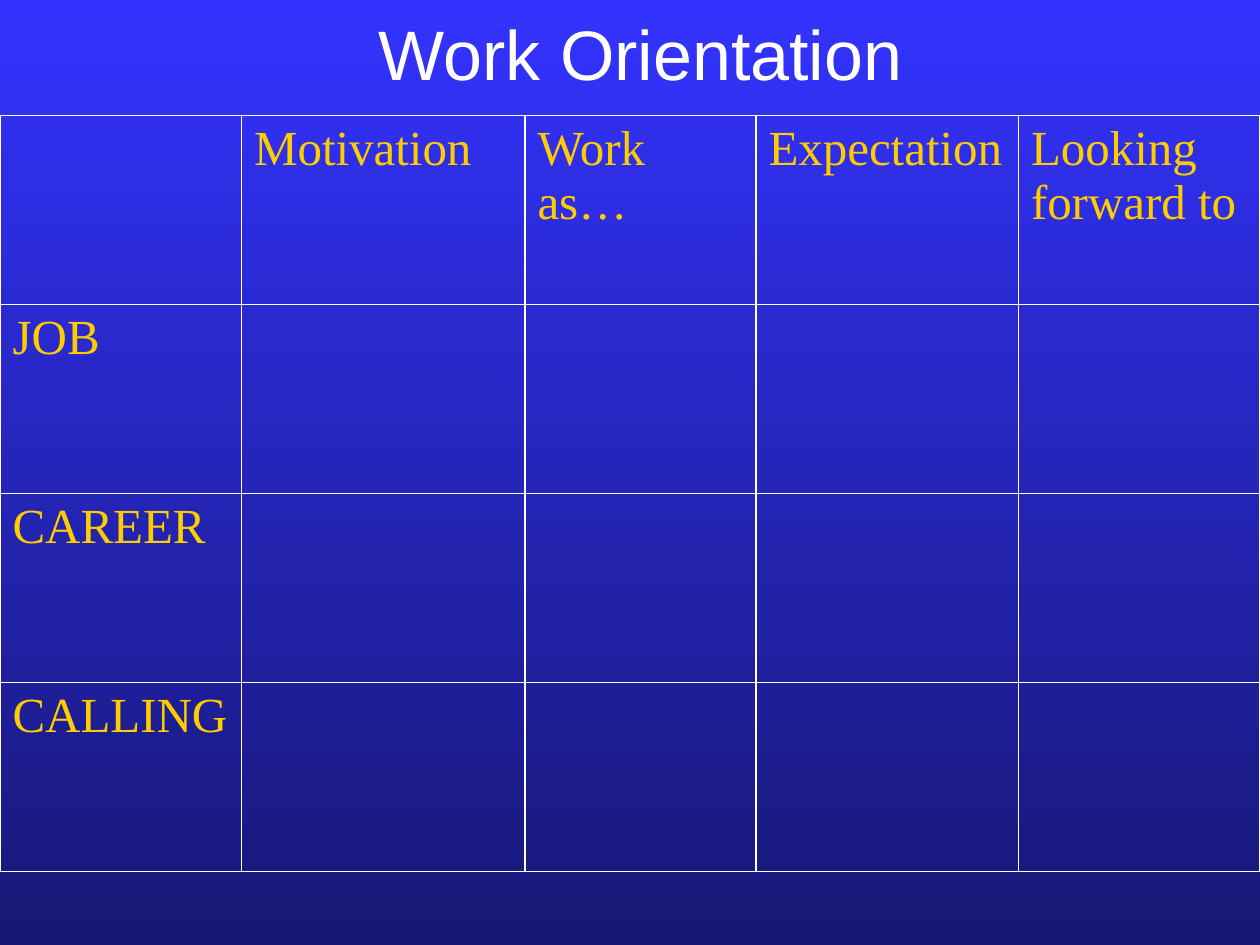
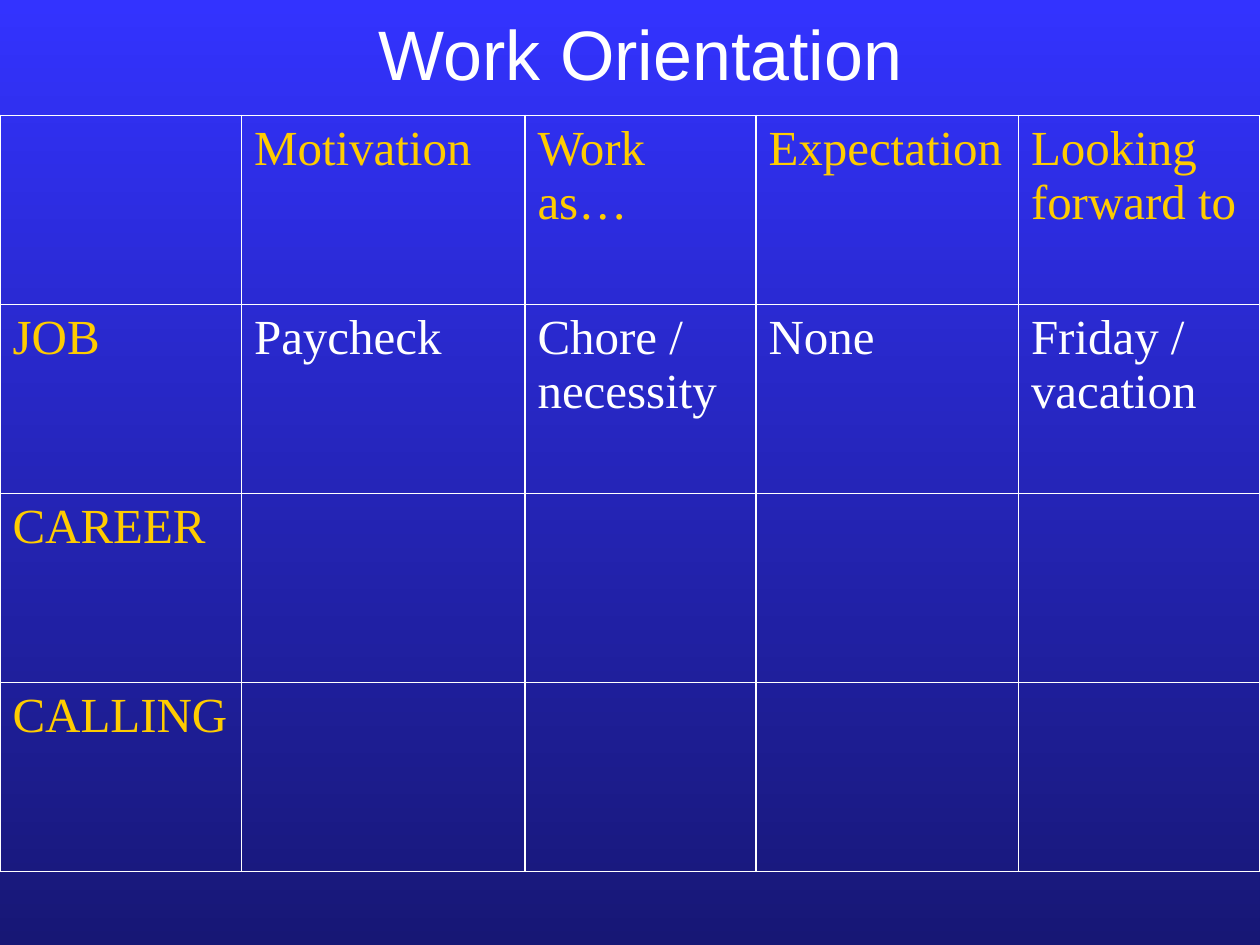
from lxml import etree
from pptx import Presentation
from pptx.dml.color import RGBColor
from pptx.enum.text import MSO_ANCHOR, MSO_AUTO_SIZE, PP_ALIGN
from pptx.oxml.ns import qn
from pptx.util import Inches, Pt

CENTER = PP_ALIGN.CENTER
MIDDLE = MSO_ANCHOR.MIDDLE
NO_FIT = MSO_AUTO_SIZE.NONE

BLUE = RGBColor(0x33, 0x33, 0xFF)
NAVY = RGBColor(0x17, 0x17, 0x75)
WHITE = RGBColor(0xFF, 0xFF, 0xFF)
GOLD = RGBColor(0xFF, 0xCC, 0x00)

TITLE_FONT = "Arial"
BODY_FONT = "Times New Roman"
BORDER_WIDTH = Pt(1.08)
TITLE_ONLY = 5

# The page is a grid of 120 columns and 90 rows
GRID = Inches(1) / 12
COLUMN_SPANS = (23, 27, 22, 25, 23)
ROW_SPAN = 18
TABLE_TOP = 11

TITLE = "Work Orientation"
HEADINGS = ["", "Motivation", "Work as…", "Expectation", "Looking forward to"]
ORIENTATIONS = ["JOB", "CAREER", "CALLING"]
JOB_ANSWERS = ["Paycheck", "Chore / necessity", "None", "Friday / vacation"]


def grid(count):
    return round(count * GRID)


class SlideBuilder:
    def __init__(self):
        self.deck = Presentation()
        self.deck.slide_width = grid(120)
        self.deck.slide_height = grid(90)
        self.page = None
        self.shade_master()

    def shade_master(self):
        fill = self.deck.slide_master.background.fill
        fill.gradient()
        fill.gradient_angle = 270
        for stop, color, position in zip(fill.gradient_stops, (BLUE, NAVY), (0, 1)):
            stop.color.rgb = color
            stop.position = position

    def add_page(self):
        self.page = self.deck.slides.add_slide(self.deck.slide_layouts[TITLE_ONLY])

    def style(self, paragraph, font, size, color):
        for span in paragraph.runs:
            span.font.name = font
            span.font.size = Pt(size)
            span.font.color.rgb = color

    def title(self, text):
        box = self.page.shapes.title
        box.left, box.top = grid(9), grid(1)
        box.width, box.height = grid(104), grid(8)
        frame = box.text_frame
        frame.text = text
        frame.auto_size = NO_FIT
        frame.vertical_anchor = MIDDLE
        paragraph = frame.paragraphs[0]
        paragraph.alignment = CENTER
        self.style(paragraph, TITLE_FONT, 40, WHITE)

    def table(self, rows):
        frame = self.page.shapes.add_table(
            len(rows), len(COLUMN_SPANS), 0, grid(TABLE_TOP),
            grid(sum(COLUMN_SPANS)), grid(ROW_SPAN * len(rows)))
        table = frame.table
        table.first_row = False
        table.horz_banding = False
        for column, span in zip(table.columns, COLUMN_SPANS):
            column.width = grid(span)
        for row_index, texts in enumerate(rows):
            table.rows[row_index].height = grid(ROW_SPAN)
            for column_index, text in enumerate(texts):
                is_heading = row_index == 0 or column_index == 0
                self.cell(table.cell(row_index, column_index), text,
                          GOLD if is_heading else WHITE)

    def cell(self, cell, text, color):
        self.borders(cell)
        cell.fill.background()
        if text:
            cell.text_frame.text = text
            paragraph = cell.text_frame.paragraphs[0]
            paragraph.space_before = Pt(7)
            self.style(paragraph, BODY_FONT, 28, color)

    def borders(self, cell):
        properties = cell._tc.get_or_add_tcPr()
        for side in ("a:lnL", "a:lnR", "a:lnT", "a:lnB"):
            line = etree.SubElement(properties, qn(side), w=str(BORDER_WIDTH))
            fill = etree.SubElement(line, qn("a:solidFill"))
            etree.SubElement(fill, qn("a:srgbClr"), val=str(WHITE))


def main():
    builder = SlideBuilder()
    blank = [""] * len(JOB_ANSWERS)

    # First the empty grid, then the grid with the job row answered
    for answers in ({}, {"JOB": JOB_ANSWERS}):
        builder.add_page()
        builder.title(TITLE)
        builder.table([HEADINGS] + [[name] + answers.get(name, blank)
                                    for name in ORIENTATIONS])

    builder.deck.save("out.pptx")


if __name__ == "__main__":
    main()
